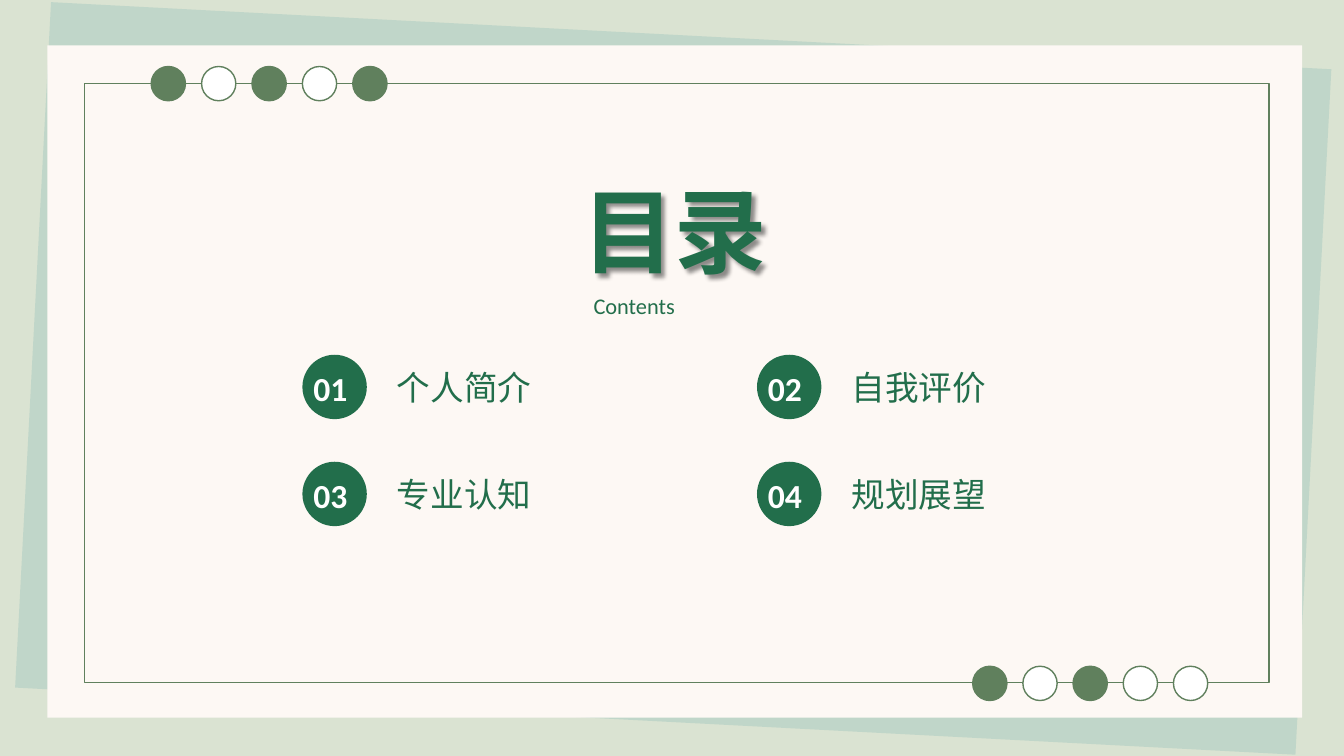
from dataclasses import dataclass

from lxml import etree
from pptx import Presentation
from pptx.dml.color import RGBColor
from pptx.enum import lang, shapes, text
from pptx.oxml import ns
from pptx.util import Pt


@dataclass(frozen=True)
class Theme:
    background: str = "DAE3D2"
    backdrop: str = "C0D6C9"
    card: str = "FDF8F4"
    olive: str = "60805D"
    green: str = "226E4B"
    white: str = "FFFFFF"
    font: str = "Calibri"
    title_size: int = 66
    entry_size: int = 24
    subtitle_size: int = 16


THEME = Theme()
ENTRIES = ["个人简介", "自我评价", "专业认知", "规划展望"]
COLUMNS = [216, 540.7]
ROWS = [253.4, 329.8]
DISC = 46
DOT = 24.5


def rgb(value):
    return RGBColor.from_string(value)


def add_figure(parent, kind, box, fill=None, line=None):
    sp = parent.add_shape(kind, *map(Pt, box))
    sp.shadow.inherit = False
    if fill:
        sp.fill.solid()
        sp.fill.fore_color.rgb = rgb(fill)
    else:
        sp.fill.background()
    if line:
        sp.line.color.rgb = rgb(line)
        sp.line.width = Pt(1)
    else:
        sp.line.fill.background()
    return sp


def write(sp, words, size, color, align, bold=False):
    tf = sp.text_frame
    tf.text = words
    tf.word_wrap = True
    tf.auto_size = text.MSO_AUTO_SIZE.SHAPE_TO_FIT_TEXT
    tf.vertical_anchor = text.MSO_ANCHOR.TOP
    p = tf.paragraphs[0]
    p.alignment = align
    font = p.runs[0].font
    font.name = THEME.font
    font.size = Pt(size)
    font.bold = bold
    font.color.rgb = rgb(color)
    font.language_id = lang.MSO_LANGUAGE_ID.SIMPLIFIED_CHINESE


def add_label(parent, box, words, size, color, align, bold=False):
    write(parent.add_textbox(*map(Pt, box)), words, size, color, align, bold)


def add_shadow(sp):
    effects = etree.SubElement(sp._element.spPr, ns.qn("a:effectLst"))
    shadow = etree.SubElement(effects, ns.qn("a:outerShdw"), blurRad="38100",
                              dist="38100", dir="2700000", algn="tl")
    color = etree.SubElement(shadow, ns.qn("a:srgbClr"), val="000000")
    etree.SubElement(color, ns.qn("a:alpha"), val="43000")


def add_title(s, box, words):
    sp = s.shapes.title
    sp.left, sp.top, sp.width, sp.height = map(Pt, box)
    write(sp, words, THEME.title_size, THEME.green, text.PP_ALIGN.CENTER, True)
    add_shadow(sp)
    s.shapes._spTree.append(sp._element)


def add_entry(s, x, y, number, words):
    group = s.shapes.add_group_shape().shapes
    add_figure(group, shapes.MSO_SHAPE.OVAL, (x, y, DISC, DISC), THEME.green)
    add_label(group, (x + 0.7, y + 5.8, 51, 36), f"{number:02}",
              THEME.entry_size, THEME.white, text.PP_ALIGN.LEFT, True)
    add_label(group, (x + 60.5, y + 5.3, 165.6, 36), words,
              THEME.entry_size, THEME.green, text.PP_ALIGN.JUSTIFY)


def add_dots(s, x, y, step, fills):
    group = s.shapes.add_group_shape().shapes
    for i, fill in enumerate(fills):
        add_figure(group, shapes.MSO_SHAPE.OVAL, (x + i * step, y, DOT, DOT),
                   fill, THEME.olive)


def main():
    prs = Presentation()
    prs.slide_width, prs.slide_height = Pt(960), Pt(540)
    s = prs.slides.add_slide(prs.slide_layouts.get_by_name("Title Only"))
    s.background.fill.solid()
    s.background.fill.fore_color.rgb = rgb(THEME.background)

    rectangle = shapes.MSO_SHAPE.RECTANGLE
    backdrop = add_figure(s.shapes, rectangle, (23, 25.2, 915.8, 490.3), THEME.backdrop)
    backdrop.rotation = 3
    add_figure(s.shapes, rectangle, (33.8, 32.4, 896.4, 480.2), THEME.card)
    add_figure(s.shapes, rectangle, (60.5, 59.8, 846, 427.7), line=THEME.olive)

    add_title(s, (391.7, 121, 180.7, 87.1), "目录")
    add_label(s.shapes, (416.9, 205.2, 136.8, 26.6), "Contents",
              THEME.subtitle_size, THEME.green, text.PP_ALIGN.JUSTIFY)
    for i, words in enumerate(ENTRIES):
        row, column = divmod(i, len(COLUMNS))
        add_entry(s, COLUMNS[column], ROWS[row], i + 1, words)

    solid, hollow = THEME.olive, THEME.white
    add_dots(s, 108, 47.5, 36, [solid, hollow, solid, hollow, solid])
    add_dots(s, 694.8, 475.9, 35.85, [solid, hollow, solid, hollow, hollow])
    prs.save("out.pptx")


if __name__ == "__main__":
    main()
